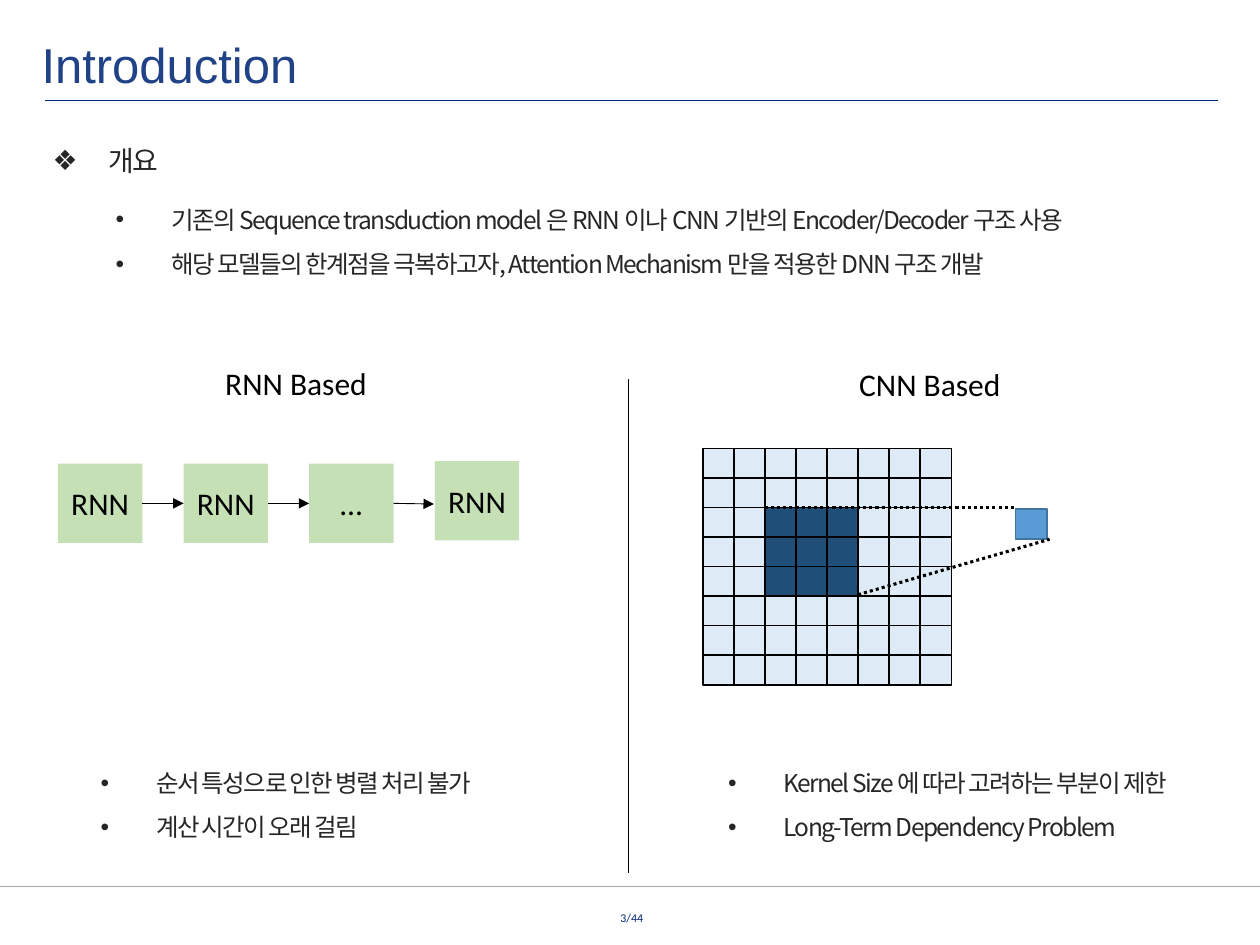
from pptx import Presentation
from pptx.dml.color import RGBColor
from pptx.enum.dml import MSO_LINE
from pptx.enum.shapes import MSO_CONNECTOR, MSO_SHAPE
from pptx.enum.text import MSO_ANCHOR, MSO_AUTO_SIZE, PP_ALIGN
from pptx.oxml.ns import qn
from pptx.util import Inches, Pt
from lxml import etree

LEFT, CENTER = PP_ALIGN.LEFT, PP_ALIGN.CENTER
MIDDLE, BOTTOM = MSO_ANCHOR.MIDDLE, MSO_ANCHOR.BOTTOM
RECT, STRAIGHT = MSO_SHAPE.RECTANGLE, MSO_CONNECTOR.STRAIGHT
DOTTED = MSO_LINE.ROUND_DOT
COLORS = {
    "title": "204287", "navy": "002776", "gray": "A6A6A6", "black": "000000",
    "body": "262626", "rnn": "C5E0B4", "cell": "DEEBF7", "kernel": "1F4E79",
    "output": "5B9BD5", "output_line": "43739E",
}
RGB = {name: RGBColor.from_string(value) for name, value in COLORS.items()}
BODY_FONT = "Noto Sans CJK KR"

prs = Presentation()
prs.slide_width, prs.slide_height = Inches(10), Inches(7.5)
COL, ROW = prs.slide_width / 10, prs.slide_height / 7.5  # 10 x 7.5 page grid
s = prs.slides.add_slide(prs.slide_layouts[5])


def write(sp, lines, size, font, color, align=LEFT, bullet=None, level=0):
    """Fill a shape with formatted paragraphs, bulleted if asked."""
    tf = sp.text_frame
    tf.word_wrap = True
    tf.text = "\n".join(lines)
    for p in tf.paragraphs:
        p.alignment = align
        r = p.runs[0]
        r.font.size, r.font.name = Pt(size), font
        r.font.color.rgb = RGB[color]
        if bullet:
            p.level, p.line_spacing = level, 1.5
            pPr, rPr = p._p.get_or_add_pPr(), r._r.get_or_add_rPr()
            pPr.set("marL", str(Inches(0.44 + 0.5 * level)))
            pPr.set("indent", str(Inches(-0.44)))
            etree.SubElement(pPr, qn("a:buFont")).set("typeface", "Arial")
            etree.SubElement(pPr, qn("a:buChar")).set("char", bullet)
            rPr.set("spc", "-90")
            etree.SubElement(rPr, qn("a:ea")).set("typeface", font)
    return tf


def line(x1, y1, x2, y2, color, width, dash=None, arrow=False):
    """Draw a straight line between two points of the page grid."""
    c = s.shapes.add_connector(STRAIGHT, int(x1 * COL), int(y1 * ROW),
                               int(x2 * COL), int(y2 * ROW))
    c.line.color.rgb, c.line.width = RGB[color], Pt(width)
    if dash:
        c.line.dash_style = dash
    if arrow:
        etree.SubElement(c.line._get_or_add_ln(), qn("a:tailEnd")).set("type", "triangle")
    etree.SubElement(c._element.spPr, qn("a:effectLst"))
    return c


# Title, rules and page number
title = s.shapes.title
title.left, title.top = int(0.23 * COL), int(0.22 * ROW)
title.width, title.height = int(8.26 * COL), int(0.57 * ROW)
tf = write(title, ["Introduction"], 28, "Arial", "title")
tf.vertical_anchor, tf.auto_size = BOTTOM, MSO_AUTO_SIZE.NONE
line(0.36, 0.8, 9.67, 0.8, "navy", 0.75)
line(0, 7.03, 10, 7.03, "gray", 0.25)

page = s.shapes.add_textbox(int(3.8 * COL), int(7.27 * ROW), int(2.43 * COL), int(0.21 * ROW))
tf = write(page, ["3/44"], 6.8, "Calibri", "navy", CENTER)
tf.margin_left = tf.margin_right = tf.margin_top = tf.margin_bottom = 0
tf.paragraphs[0].line_spacing = Pt(5.1)

# Bulleted text: left, top, width, height, size, bullet, level, lines
for x, y, w, h, size, bullet, level, lines in [
    (0.32, 0.96, 9.38, 0.45, 16, "❖", 0, ["개요"]),
    (0.32, 1.46, 8.78, 0.76, 14, "•", 1, [
        "기존의 Sequence transduction model 은 RNN 이나 CNN 기반의 Encoder/Decoder 구조 사용",
        "해당 모델들의 한계점을 극복하고자, Attention Mechanism 만을 적용한 DNN 구조 개발"]),
    (0.2, 5.93, 4.12, 0.76, 14, "•", 1, [
        "순서 특성으로 인한 병렬 처리 불가", "계산 시간이 오래 걸림"]),
    (5.18, 5.93, 4.63, 0.76, 14, "•", 1, [
        "Kernel Size 에 따라 고려하는 부분이 제한", "Long-Term Dependency Problem"]),
]:
    sp = s.shapes.add_textbox(int(x * COL), int(y * ROW), int(w * COL), int(h * ROW))
    write(sp, lines, size, BODY_FONT, "body", LEFT, bullet, level)

# Divider and column headings
line(4.99, 3.01, 4.99, 6.93, "black", 0.5)
for x, y, heading in [(1.4, 2.84, "RNN Based"), (6.43, 2.85, "CNN Based")]:
    sp = s.shapes.add_textbox(int(x * COL), int(y * ROW), int(1.9 * COL), int(0.4 * ROW))
    write(sp, [heading], 18, "Calibri", "black", CENTER)

# RNN chain: the last box sits slightly higher
steps = []
for i, label in enumerate(["RNN", "RNN", "…", "RNN"]):
    y = 3.66 if i == 3 else 3.68
    sp = s.shapes.add_shape(RECT, int((0.46 + i * 0.997) * COL), int(y * ROW),
                            int(0.67 * COL), int(0.63 * ROW))
    sp.shadow.inherit = False
    sp.fill.solid()
    sp.fill.fore_color.rgb = RGB["rnn"]
    sp.line.fill.background()
    tf = write(sp, [label], 18, "Calibri", "black", CENTER)
    tf.vertical_anchor = MIDDLE
    tf.margin_left = tf.margin_right = 0
    steps.append(sp)
for i in range(3):
    x = 1.13 + i * 0.997
    arrow = line(x, 4, x + 0.32, 4, "black", 0.5, arrow=True)
    arrow.begin_connect(steps[i], 3)
    if i < 2:
        arrow.end_connect(steps[i + 1], 1)

# CNN input grid with its 3 x 3 kernel, then the output cell
GRID_X, GRID_Y, STEP_X, STEP_Y = 5.58, 3.56, 0.246, 0.234
cells = [(GRID_X + c * STEP_X, GRID_Y + r * STEP_Y,
          "kernel" if 2 <= r <= 4 and 2 <= c <= 4 else "cell", "black")
         for r in range(8) for c in range(8)]
cells.append((8.06, 4.04, "output", "output_line"))
for x, y, fill, border in cells:
    sp = s.shapes.add_shape(RECT, int(x * COL), int(y * ROW), int(0.25 * COL), int(0.24 * ROW))
    sp.shadow.inherit = False
    sp.fill.solid()
    sp.fill.fore_color.rgb = RGB[fill]
    sp.line.color.rgb, sp.line.width = RGB[border], Pt(1)

# Projection from kernel to output
line(6.07, 4.03, 8.06, 4.03, "black", 1.75, DOTTED)
line(6.81, 4.72, 8.33, 4.28, "black", 1.75, DOTTED)

prs.save("out.pptx")
